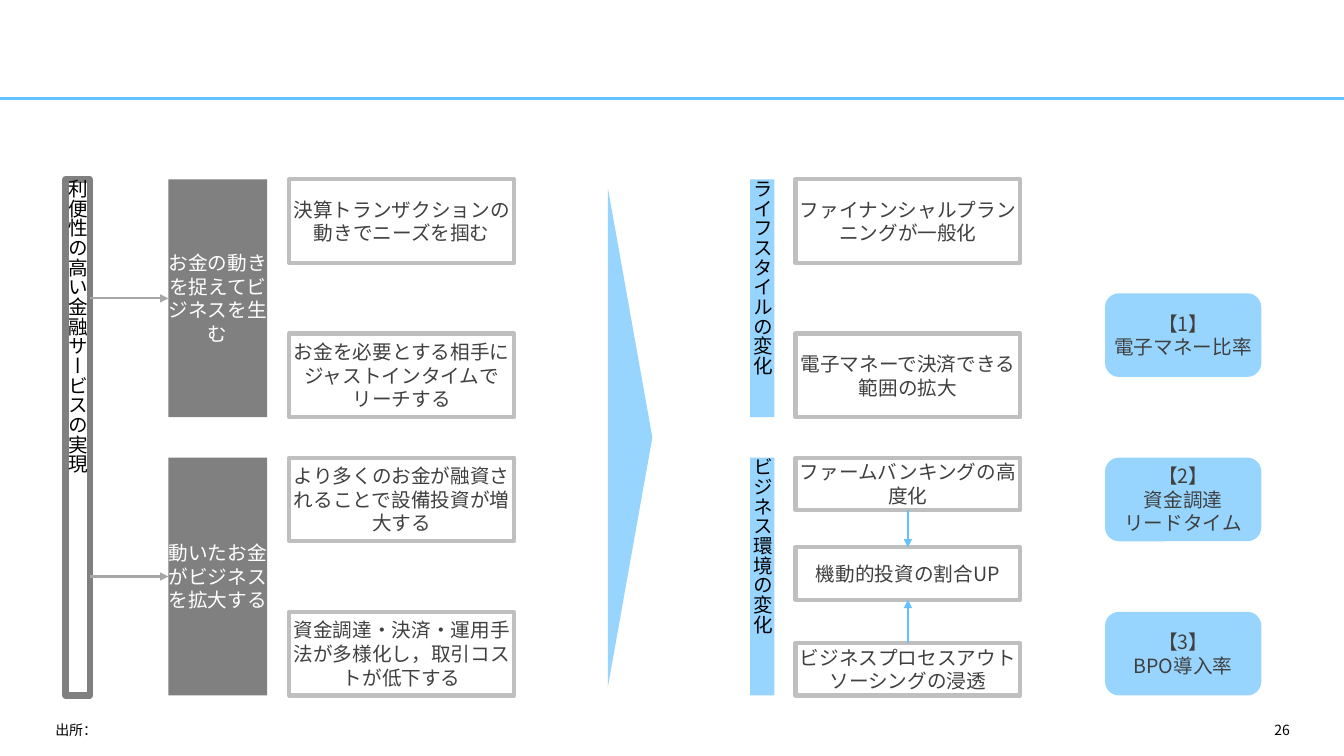
from pptx import Presentation
from pptx.util import Inches, Pt
from pptx.dml.color import RGBColor
from pptx.enum.shapes import MSO_SHAPE, MSO_CONNECTOR
from pptx.enum.text import PP_ALIGN, MSO_ANCHOR, MSO_AUTO_SIZE
from pptx.oxml.ns import qn
from lxml import etree

RECT, ROUND = MSO_SHAPE.RECTANGLE, MSO_SHAPE.ROUNDED_RECTANGLE
TRIANGLE = MSO_SHAPE.ISOSCELES_TRIANGLE
STRAIGHT = MSO_CONNECTOR.STRAIGHT
CENTER, LEFT, RIGHT = PP_ALIGN.CENTER, PP_ALIGN.LEFT, PP_ALIGN.RIGHT
MIDDLE, TOP = MSO_ANCHOR.MIDDLE, MSO_ANCHOR.TOP
GROW = MSO_AUTO_SIZE.SHAPE_TO_FIT_TEXT

BLACK = RGBColor(0x00, 0x00, 0x00)
WHITE = RGBColor(0xFF, 0xFF, 0xFF)
INK = RGBColor(0x40, 0x40, 0x40)
GRAY = RGBColor(0x80, 0x80, 0x80)
MID = RGBColor(0xA6, 0xA6, 0xA6)
PALE = RGBColor(0xBF, 0xBF, 0xBF)
BLUE = RGBColor(0x63, 0xC1, 0xFF)
SKY = RGBColor(0x97, 0xD5, 0xFF)
FONT = "Noto Sans CJK JP"

# Content
GOAL = "利便性の高い金融サービスの実現"
AIMS = ["お金の動きを捉えてビジネスを生む", "動いたお金がビジネスを拡大する"]
MEANS = [
    "決算トランザクションの動きでニーズを掴む",
    "お金を必要とする相手にジャストインタイムでリーチする",
    "より多くのお金が融資されることで設備投資が増大する",
    "資金調達・決済・運用手法が多様化し，取引コストが低下する",
]
SHIFTS = ["ライフスタイルの変化", "ビジネス環境の変化"]
LIFE = ["ファイナンシャルプランニングが一般化", "電子マネーで決済できる範囲の拡大"]
TRADE = ["ファームバンキングの高度化", "機動的投資の割合UP", "ビジネスプロセスアウトソーシングの浸透"]
RATES = [
    (2.91, ["【1】", "電子マネー比率"]),
    (4.54, ["【2】", "資金調達", "リードタイム"]),
    (6.07, ["【3】", "BPO導入率"]),
]

# Grid, in inches
WIDE, HIGH = 13.33, 7.5
BANDS = [1.78, 4.54]            # tops of the upper and lower halves
BAND = 2.36                     # height of a half
BOX, CARD, SLIM = 2.23, 0.83, 0.52
BAR = 0.24
ROWS = [top + step for top in BANDS for step in (0, BAND - CARD)]
GOAL_X, AIM_X, MEAN_X, SHIFT_X, EFFECT_X, RATE_X = 0.65, 1.67, 2.87, 7.44, 7.89, 10.96
FULL = BANDS[1] + BAND - BANDS[0]

prs = Presentation()
prs.slide_width, prs.slide_height = Inches(WIDE), Inches(HIGH)
slide = prs.slides.add_slide(prs.slide_layouts[6])


def write(frame, lines, color, size=14, align=CENTER, pitch=None):
    frame.word_wrap = True
    for i, line in enumerate(lines):
        para = frame.paragraphs[0] if i == 0 else frame.add_paragraph()
        para.alignment = align
        if pitch:
            para.line_spacing = Pt(pitch)
        run = para.add_run()
        run.text = line
        run.font.size = Pt(size)
        run.font.name = FONT
        run.font.color.rgb = color
        east = etree.SubElement(run.font._element, qn("a:ea"))
        east.set("typeface", FONT)


def block(kind, x, y, w, h, fill=None, line=None, weight=3):
    shape = slide.shapes.add_shape(kind, Inches(x), Inches(y), Inches(w), Inches(h))
    shape.shadow.inherit = False
    if fill is None:
        shape.fill.background()
    else:
        shape.fill.solid()
        shape.fill.fore_color.rgb = fill
    if line is None:
        shape.line.fill.background()
    else:
        shape.line.color.rgb = line
        shape.line.width = Pt(weight)
    frame = shape.text_frame
    frame.margin_left = frame.margin_right = frame.margin_top = frame.margin_bottom = 0
    frame.vertical_anchor = MIDDLE
    return shape


def panel(lines, color, *place, **style):
    shape = block(*place, **style)
    write(shape.text_frame, lines, color, pitch=16.8)
    return shape


def pillar(text, x, y, h, **style):
    """Narrow bar whose text runs downwards."""
    shape = block(RECT, x, y, BAR, h, **style)
    frame = shape.text_frame
    write(frame, [text], BLACK)
    frame.vertical_anchor = TOP
    frame.auto_size = GROW
    frame._txBody.bodyPr.set("vert", "eaVert")
    return shape


def rule(x1, y1, x2, y2, color, weight, arrow=True):
    link = slide.shapes.add_connector(STRAIGHT, Inches(x1), Inches(y1), Inches(x2), Inches(y2))
    link.line.color.rgb = color
    link.line.width = Pt(weight)
    if arrow:
        etree.SubElement(link.line._get_or_add_ln(), qn("a:tailEnd")).set("type", "triangle")
    etree.SubElement(link._element.spPr, qn("a:effectLst"))
    return link


def note(text, x, w, align):
    box = slide.shapes.add_textbox(Inches(x), Inches(7.11), Inches(w), Inches(BAR))
    write(box.text_frame, [text], BLACK, 10, align)


rule(0, 0.98, WIDE, 0.98, BLUE, 2.25, arrow=False)
note("出所：", 0.45, 8.47, LEFT)
note("26", 9.42, 3.47, RIGHT)

pillar(GOAL, GOAL_X, BANDS[0], FULL, line=GRAY, weight=4.5)
aims = [panel([text], WHITE, RECT, AIM_X, y, 0.98, BAND, fill=GRAY)
        for text, y in zip(AIMS, BANDS)]
for text, y in zip(MEANS, ROWS):
    panel([text], INK, RECT, MEAN_X, y, BOX, CARD, line=PALE)
for text, y in zip(SHIFTS, BANDS):
    pillar(text, SHIFT_X, y, BAND, fill=SKY)

wedge = block(TRIANGLE, 3.78, 4.12, 4.94, 0.44, fill=SKY)
wedge.rotation = 90

for text, y in zip(LIFE, ROWS):
    panel([text], INK, RECT, EFFECT_X, y, BOX, CARD, line=PALE)
steps = [panel([text], INK, RECT, EFFECT_X, y, BOX, SLIM, line=PALE)
         for text, y in zip(TRADE, (BANDS[1], 5.43, BANDS[1] + BAND - SLIM))]
for step, out, into in ((steps[0], 2, 0), (steps[2], 0, 2)):
    link = rule(0, 0, 1, 1, BLUE, 1.5)
    link.begin_connect(step, out)
    link.end_connect(steps[1], into)

for y, lines in RATES:
    panel(lines, INK, ROUND, RATE_X, y, 1.55, CARD, fill=SKY)

for aim, y in zip(aims, BANDS):
    mid = y + BAND / 2
    rule(GOAL_X + BAR, mid, AIM_X, mid, MID, 1.5).end_connect(aim, 1)

prs.save("out.pptx")
